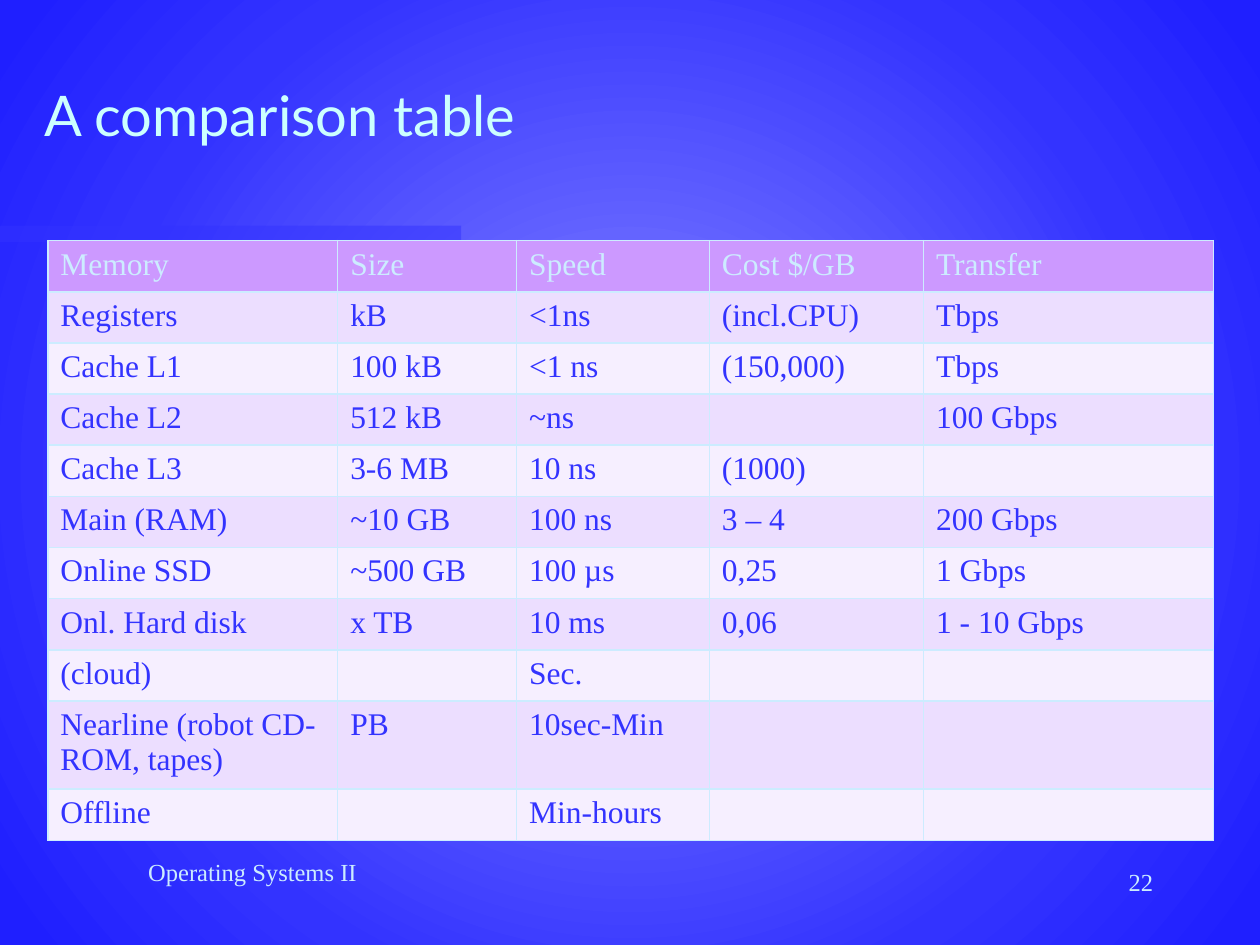
"""Build a slide that compares kinds of computer memory in a table."""
import dataclasses

import pptx
import pptx.dml.color
import pptx.enum.shapes
import pptx.enum.text
import pptx.oxml
import pptx.oxml.ns
import pptx.util

Inches = pptx.util.Inches
Pt = pptx.util.Pt
RGB = pptx.dml.color.RGBColor.from_string
ALIGN = pptx.enum.text.PP_ALIGN
ANCHOR = pptx.enum.text.MSO_ANCHOR
qn = pptx.oxml.ns.qn
NS = pptx.oxml.ns.nsdecls("a")


@dataclasses.dataclass(frozen=True)
class Theme:
    title_font: str = "Lato"
    body_font: str = "Times New Roman"
    title_size: int = 32
    table_size: int = 18
    footer_size: int = 14
    title: str = "CCFFFF"
    light: str = "CCECFF"
    blue: str = "3333FF"
    header: str = "CC99FF"
    bands: tuple = ("ECDEFF", "F6EFFF")
    glow: tuple = ((0, "6C6CFF"), (23, "6C6CFF"), (69, "3333FF"), (97, "1F1FFF"))


THEME = Theme()
COLUMNS = (2.3, 1.42, 1.53, 1.7, 2.3)
TABLE_HEIGHT = 4.76
TALL_ROW = 9
TALL_HEIGHT = 0.7
ROWS = (
    ("Memory", "Size", "Speed", "Cost $/GB", "Transfer"),
    ("Registers", "kB", "<1ns", "(incl.CPU)", "Tbps"),
    ("Cache L1", "100 kB", "<1 ns", "(150,000)", "Tbps"),
    ("Cache L2", "512 kB", "~ns", "", "100 Gbps"),
    ("Cache L3", "3-6 MB", "10 ns", "(1000)", ""),
    ("Main (RAM)", "~10 GB", "100 ns", "3 – 4", "200 Gbps"),
    ("Online SSD", "~500 GB", "100 µs", "0,25", "1 Gbps"),
    ("Onl. Hard disk", "x TB", "10 ms", "0,06", "1 - 10 Gbps"),
    ("(cloud)", "", "Sec.", "", ""),
    ("Nearline (robot CD-ROM, tapes)", "PB", "10sec-Min", "", ""),
    ("Offline", "", "Min-hours", "", ""),
)


def set_attrs(obj, values):
    """Set each named attribute of an object."""
    for name, value in values.items():
        setattr(obj, name, value)


def place(sp, left, top, width, height):
    """Move and size a shape, in inches."""
    box = {"left": left, "top": top, "width": width, "height": height}
    set_attrs(sp, {name: Inches(v) for name, v in box.items()})


def write(tf, text, font, size, color, align=ALIGN.LEFT):
    """Write one formatted paragraph into a text frame."""
    p = tf.paragraphs[0]
    p.alignment = align
    r = p.add_run()
    r.text = text
    set_attrs(r.font, {"name": font, "size": Pt(size), "bold": False})
    r.font.color.rgb = RGB(color)


def fill_background(s):
    """Give the slide a circular gradient."""
    s.background.fill.gradient()
    old = next(s.element.iter(qn("a:gradFill")))
    stops = "".join(
        f'<a:gs pos="{pos * 1000}"><a:srgbClr val="{color}"/></a:gs>'
        for pos, color in THEME.glow
    )
    new = pptx.oxml.parse_xml(
        f'<a:gradFill {NS} rotWithShape="0"><a:gsLst>{stops}</a:gsLst>'
        '<a:path path="circle"><a:fillToRect l="50000" t="50000" r="50000" b="50000"/>'
        "</a:path></a:gradFill>"
    )
    old.getparent().replace(old, new)


def add_accent_bar(s):
    """Add the half-transparent bar at the left edge."""
    sp = s.shapes.add_shape(
        pptx.enum.shapes.MSO_SHAPE.RECTANGLE,
        Inches(0), Inches(1.79), Inches(3.66), Inches(0.13),
    )
    sp.shadow.inherit = False
    sp.fill.solid()
    sp.fill.fore_color.rgb = RGB(THEME.blue)
    sp.line.fill.background()
    color = next(sp.element.spPr.iter(qn("a:srgbClr")))
    color.append(pptx.oxml.parse_xml(f'<a:alpha {NS} val="50000"/>'))


def add_title(s, text):
    """Fill the title placeholder."""
    sp = s.shapes.title
    place(sp, 0.25, 0.5, 9.63, 1.25)
    set_attrs(sp.text_frame, {
        "vertical_anchor": ANCHOR.BOTTOM,
        "margin_bottom": Inches(0.58),
        "word_wrap": True,
        "auto_size": pptx.enum.text.MSO_AUTO_SIZE.NONE,
    })
    write(sp.text_frame, text, THEME.title_font, THEME.title_size, THEME.title)


def add_borders(cell):
    """Draw a thin line on each side of a cell."""
    tc_pr = cell._tc.get_or_add_tcPr()
    for i, side in enumerate("LRTB"):
        tc_pr.insert(i, pptx.oxml.parse_xml(
            f'<a:ln{side} {NS} w="{Pt(1)}"><a:solidFill>'
            f'<a:srgbClr val="{THEME.light}"/></a:solidFill></a:ln{side}>'
        ))


def format_cell(cell, text, fill, color):
    """Fill, outline and write one table cell."""
    cell.fill.solid()
    cell.fill.fore_color.rgb = RGB(fill)
    add_borders(cell)
    if text:
        write(cell.text_frame, text, THEME.body_font, THEME.table_size, color)


def add_memory_table(s):
    """Add the banded memory table."""
    table = s.shapes.add_table(
        len(ROWS), len(COLUMNS),
        Inches(0.38), Inches(1.91), Inches(sum(COLUMNS)), Inches(TABLE_HEIGHT),
    ).table
    table.horz_banding = False
    for column, width in zip(table.columns, COLUMNS):
        column.width = Inches(width)
    row_height = (TABLE_HEIGHT - TALL_HEIGHT) / (len(ROWS) - 1)
    for i, texts in enumerate(ROWS):
        table.rows[i].height = Inches(TALL_HEIGHT if i == TALL_ROW else row_height)
        fill = THEME.bands[(i - 1) % 2] if i else THEME.header
        color = THEME.blue if i else THEME.light
        for j, text in enumerate(texts):
            format_cell(table.cell(i, j), text, fill, color)


def add_footer(s, text, box, align):
    """Add one text box below the table."""
    sp = s.shapes.add_textbox(*map(Inches, box))
    sp.text_frame.word_wrap = True
    write(sp.text_frame, text, THEME.body_font, THEME.footer_size, THEME.light, align)


def main():
    """Build and save the slide."""
    prs = pptx.Presentation()
    set_attrs(prs, {"slide_width": Inches(10), "slide_height": Inches(7.5)})
    s = prs.slides.add_slide(prs.slide_layouts.get_by_name("Title Only"))
    fill_background(s)
    add_accent_bar(s)
    add_title(s, "A comparison table")
    add_memory_table(s)
    add_footer(s, "Operating Systems II", (0.42, 6.75, 3.17, 0.5), ALIGN.CENTER)
    add_footer(s, "22", (7.17, 6.83, 2.08, 0.5), ALIGN.RIGHT)
    prs.save("out.pptx")


main()
